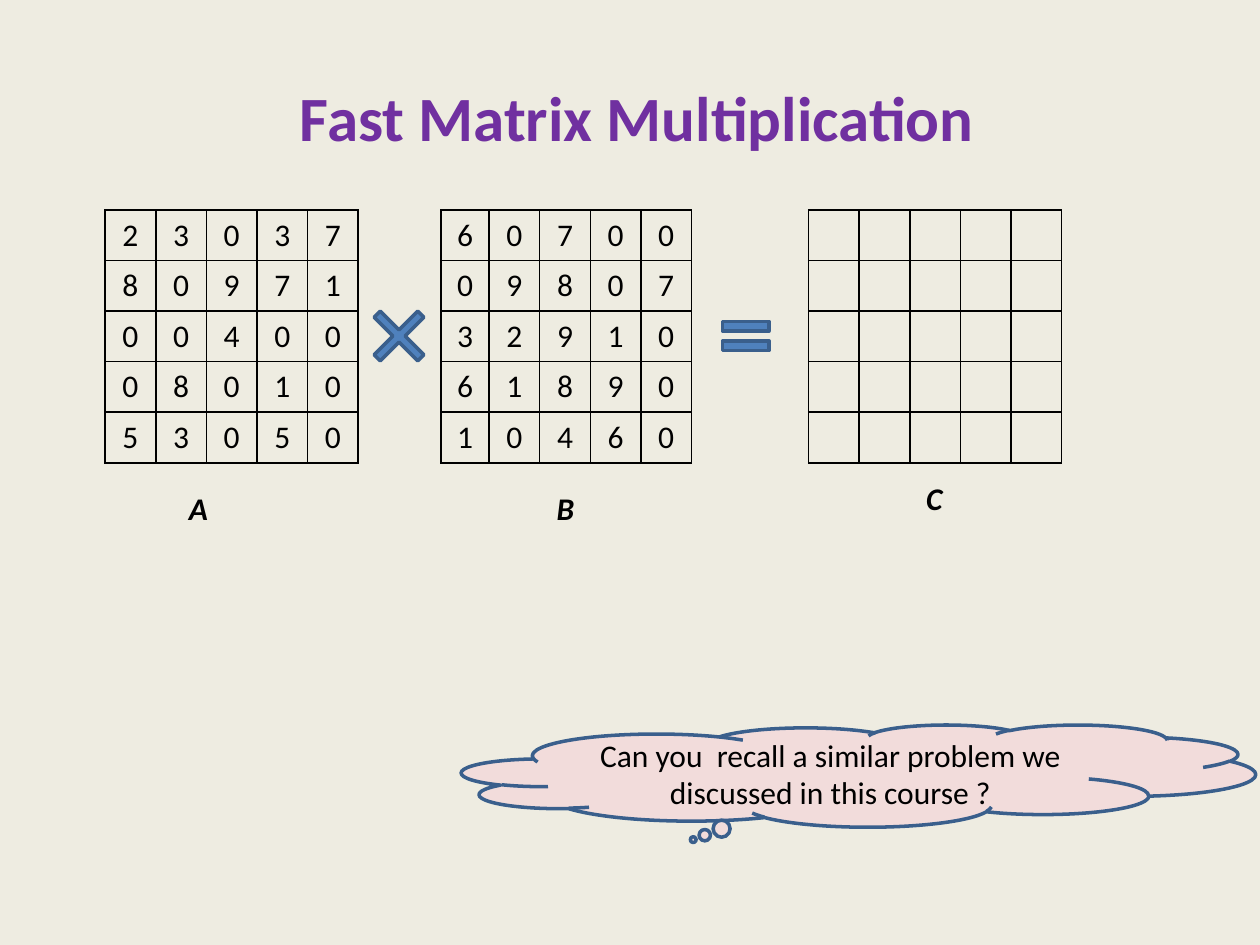
from dataclasses import dataclass

from lxml import etree
from pptx import Presentation
from pptx.dml.color import RGBColor
from pptx.enum.shapes import MSO_SHAPE
from pptx.enum.text import MSO_ANCHOR, MSO_AUTO_SIZE, PP_ALIGN
from pptx.oxml.ns import qn
from pptx.util import Cm, Pt

COLORS = {
    "background": "EEECE1",
    "title": "7030A0",
    "ink": "000000",
    "operator": "4F81BD",
    "outline": "3A5F8C",
    "cloud": "F2DCDB",
}
FONT = "Calibri"
CELL = 1.02
MATRIX_TOP = 4.23
OPERATOR_TOP = 5.93


@dataclass
class Box:
    left: float
    top: float
    width: float
    height: float

    def lengths(self) -> tuple:
        return Cm(self.left), Cm(self.top), Cm(self.width), Cm(self.height)


@dataclass
class Matrix:
    left: float
    rows: list[str]
    label: str
    label_box: Box
    first_column: float = CELL


@dataclass
class Figure:
    kind: MSO_SHAPE
    box: Box
    fill: str
    adjustments: tuple[float, ...] = ()
    text: str = ""


MATRICES = [
    Matrix(2.12, ["23037", "80971", "00400", "08010", "53050"],
           "A", Box(3.56, 9.74, 0.89, 1.02)),
    Matrix(8.89, ["60700", "09807", "32910", "61890", "10460"],
           "B", Box(10.97, 9.74, 0.86, 1.02), first_column=0.97),
    Matrix(16.3, [""] * 5, "C", Box(18.42, 9.53, 0.84, 1.02)),
]
FIGURES = [
    Figure(MSO_SHAPE.MATH_MULTIPLY, Box(7.2, OPERATOR_TOP, 1.69, 1.69),
           "operator", (0.104,)),
    Figure(MSO_SHAPE.MATH_EQUAL, Box(14.4, OPERATOR_TOP, 1.27, 1.69),
           "operator", (0.116, 0.118)),
    Figure(MSO_SHAPE.CLOUD_CALLOUT, Box(9.31, 14.61, 16, 2.06), "cloud",
           text="Can you  recall a similar problem we discussed in this course ?"),
]


def rgb(name: str) -> RGBColor:
    return RGBColor.from_string(COLORS[name])


def write(frame, text: str, size: float = 18, color: str = "ink",
          align=PP_ALIGN.CENTER, bold: bool = False, italic: bool = False) -> None:
    paragraph = frame.paragraphs[0]
    paragraph.alignment = align
    run = paragraph.add_run()
    run.text = text
    font = run.font
    font.name, font.size = FONT, Pt(size)
    font.bold, font.italic = bold, italic
    font.color.rgb = rgb(color)


def add_borders(cell) -> None:
    properties = cell._tc.get_or_add_tcPr()
    for side in ("lnL", "lnR", "lnT", "lnB"):
        line = etree.SubElement(properties, qn(f"a:{side}"), w=str(Pt(1)))
        fill = etree.SubElement(line, qn("a:solidFill"))
        etree.SubElement(fill, qn("a:srgbClr"), val=COLORS["ink"])


def add_matrix(slide, matrix: Matrix) -> None:
    size = len(matrix.rows)
    box = Box(matrix.left, MATRIX_TOP,
              matrix.first_column + CELL * (size - 1), CELL * size)
    table = slide.shapes.add_table(size, size, *box.lengths()).table
    table.first_row = table.horz_banding = False
    for index in range(size):
        table.rows[index].height = Cm(CELL)
        table.columns[index].width = Cm(CELL if index else matrix.first_column)
    for index, cell in enumerate(table.iter_cells()):
        row, column = divmod(index, size)
        add_borders(cell)
        cell.fill.background()
        digits = matrix.rows[row]
        if digits:
            write(cell.text_frame, digits[column])


def add_label(slide, matrix: Matrix) -> None:
    frame = slide.shapes.add_textbox(*matrix.label_box.lengths()).text_frame
    frame.word_wrap = False
    frame.auto_size = MSO_AUTO_SIZE.SHAPE_TO_FIT_TEXT
    write(frame, matrix.label, align=PP_ALIGN.LEFT, bold=True, italic=True)


def add_figure(slide, figure: Figure) -> None:
    shape = slide.shapes.add_shape(figure.kind, *figure.box.lengths())
    shape.shadow.inherit = False
    for index, value in enumerate(figure.adjustments):
        shape.adjustments[index] = value
    shape.fill.solid()
    shape.fill.fore_color.rgb = rgb(figure.fill)
    shape.line.color.rgb = rgb("outline")
    shape.line.width = Pt(2)
    if figure.text:
        shape.text_frame.word_wrap = True
        shape.text_frame.vertical_anchor = MSO_ANCHOR.MIDDLE
        write(shape.text_frame, figure.text)


def add_title(slide) -> None:
    frame = slide.shapes.add_textbox(*Box(1.27, 0.76, 22.86, 3.18).lengths()).text_frame
    frame.word_wrap = True
    frame.vertical_anchor = MSO_ANCHOR.MIDDLE
    write(frame, " Fast Matrix Multiplication", size=36, color="title", bold=True)


def main() -> None:
    presentation = Presentation()
    presentation.slide_width, presentation.slide_height = Cm(25.4), Cm(19.05)
    slide = presentation.slides.add_slide(presentation.slide_layouts[6])
    slide.background.fill.solid()
    slide.background.fill.fore_color.rgb = rgb("background")
    add_title(slide)
    for matrix in MATRICES:
        add_matrix(slide, matrix)
        add_label(slide, matrix)
    for figure in FIGURES:
        add_figure(slide, figure)
    presentation.save("out.pptx")


main()
